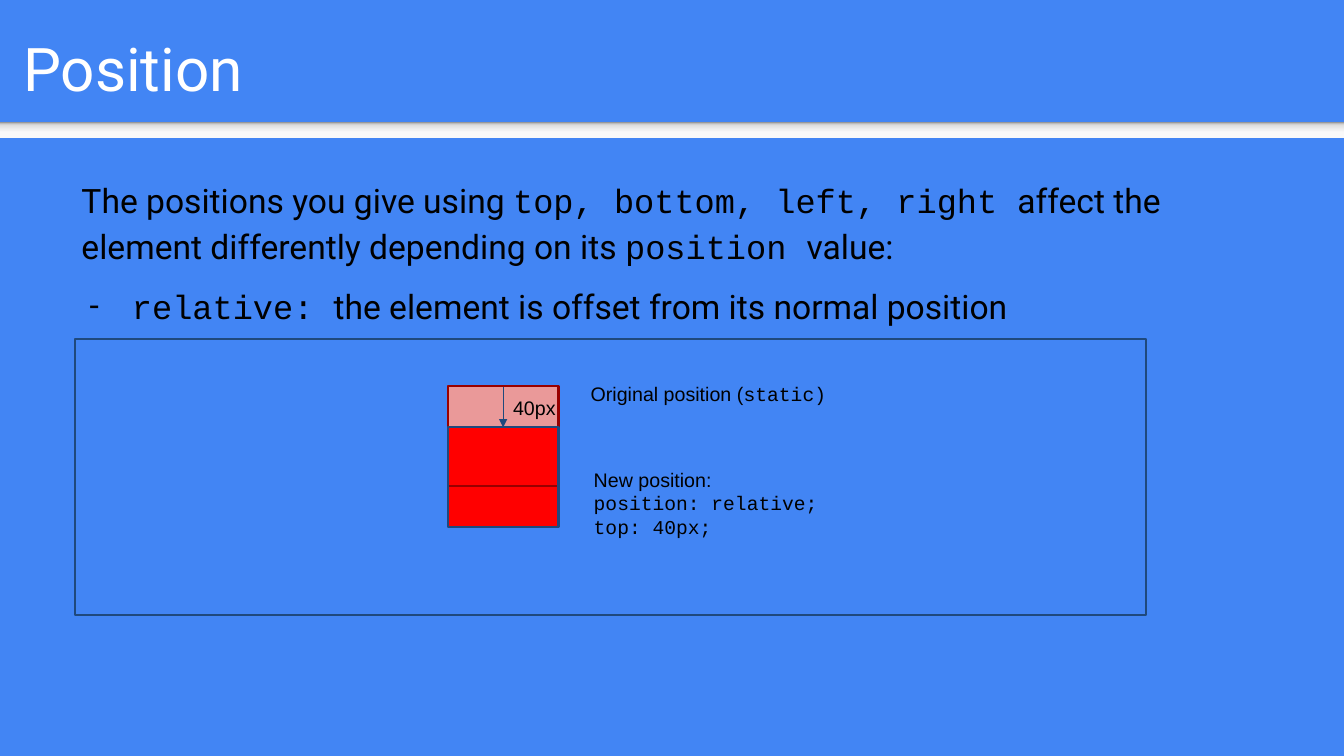
from dataclasses import dataclass

from lxml.etree import SubElement
from pptx import Presentation
from pptx.dml.color import RGBColor
from pptx.enum.shapes import MSO_CONNECTOR, MSO_SHAPE
from pptx.enum.text import MSO_ANCHOR
from pptx.oxml.ns import qn
from pptx.util import Inches, Pt


@dataclass(frozen=True)
class Theme:
    background: str = "4285F4"
    title: str = "FFFFFF"
    text: str = "000000"
    navy: str = "1F497D"
    maroon: str = "980000"
    pale_red: str = "EA9999"
    red: str = "FF0000"
    band_stops: tuple = ((0, "F9F9F9"), (36, "F9F9F9"), (80, "DEDEDE"), (100, "999999"))
    title_size: int = 43
    body_size: int = 24
    label_size: int = 14
    body_font: str = "Roboto"
    label_font: str = "Arial"
    code_font: str = "Courier New"


theme = Theme()

presentation = Presentation()
presentation.slide_width = Inches(13.33)
presentation.slide_height = Inches(7.5)
slide = presentation.slides.add_slide(presentation.slide_layouts[6])
slide.background.fill.solid()
slide.background.fill.fore_color.rgb = RGBColor.from_string(theme.background)


def add_rectangle(left, top, width, height, fill=None, line=None):
    shape = slide.shapes.add_shape(
        MSO_SHAPE.RECTANGLE, Inches(left), Inches(top), Inches(width), Inches(height)
    )
    shape.shadow.inherit = False
    if fill:
        shape.fill.solid()
        shape.fill.fore_color.rgb = RGBColor.from_string(fill)
    else:
        shape.fill.background()
    if line:
        shape.line.color.rgb = RGBColor.from_string(line)
        shape.line.width = Pt(1.5)
    else:
        shape.line.fill.background()
    return shape


def add_text(left, top, width, height, paragraphs, size, color=theme.text, inset=0.1):
    """Add a text box; each paragraph is a list of (text, font name) pairs."""
    box = slide.shapes.add_textbox(Inches(left), Inches(top), Inches(width), Inches(height))
    text_frame = box.text_frame
    text_frame.word_wrap = True
    text_frame.margin_left = text_frame.margin_right = Inches(inset)
    text_frame.margin_top = text_frame.margin_bottom = Inches(inset)
    for index, pieces in enumerate(paragraphs):
        paragraph = text_frame.add_paragraph() if index else text_frame.paragraphs[0]
        for text, font_name in pieces:
            run = paragraph.add_run()
            run.text = text
            run.font.name = font_name
            run.font.size = Pt(size)
            run.font.color.rgb = RGBColor.from_string(color)
    return text_frame


# Header
band = add_rectangle(0, 1.21, 13.33, 0.16)
band.fill.gradient()
band.fill.gradient_angle = 90
stop_list = band._element.spPr.find(qn("a:gradFill")).find(qn("a:gsLst"))
stop_list.clear()
for percent, color in theme.band_stops:
    stop = SubElement(stop_list, qn("a:gs"), pos=str(percent * 1000))
    SubElement(stop, qn("a:srgbClr"), val=color)

title = add_text(0.1, 0.11, 11.99, 1.12, [[("Position", theme.body_font)]],
                 theme.title_size, theme.title, inset=0.13)
title.vertical_anchor = MSO_ANCHOR.MIDDLE

# Explanation
body = add_text(0.71, 1.62, 11.92, 4.82, [
    [
        ("The positions you give using ", theme.body_font),
        ("top, bottom, left, right ", theme.code_font),
        ("affect the element differently depending on its ", theme.body_font),
        ("position ", theme.code_font),
        ("value:", theme.body_font),
    ],
    [
        ("relative: ", theme.code_font),
        ("the element is offset from its normal position", theme.body_font),
    ],
], theme.body_size)
for paragraph in body.paragraphs:
    paragraph.line_spacing = 1.15

bullet = body.paragraphs[1]
bullet.space_before = Pt(10)
properties = bullet._p.get_or_add_pPr()
properties.set("marL", str(Inches(0.5)))
properties.set("indent", str(Inches(-0.42)))
bullet_color = SubElement(properties, qn("a:buClr"))
SubElement(bullet_color, qn("a:srgbClr"), val=theme.text)
SubElement(properties, qn("a:buFont"), typeface=theme.body_font)
SubElement(properties, qn("a:buChar"), char="-")

# Diagram: the same square before and after the offset
square_left, square_width, square_height = 4.44, 1.1, 0.99
static_top, relative_top = 3.83, 4.24
add_rectangle(0.74, 3.36, 10.63, 2.74, line=theme.navy)
static_square, relative_square = [
    add_rectangle(square_left, top, square_width, square_height, fill=color)
    for top, color in ((static_top, theme.pale_red), (relative_top, theme.red))
]

add_text(5.76, 3.69, 2.81, 0.48, [
    [("Original position (", theme.label_font), ("static)", theme.code_font)],
], theme.label_size)
add_text(5.79, 4.54, 2.81, 0.92, [
    [("New position:", theme.label_font)],
    [("position: relative;", theme.code_font)],
    [("top: 40px;", theme.code_font)],
], theme.label_size)

center = square_left + square_width / 2
arrow = slide.shapes.add_connector(
    MSO_CONNECTOR.STRAIGHT,
    Inches(center), Inches(static_top), Inches(center), Inches(relative_top),
)
arrow.begin_connect(static_square, 0)
arrow.end_connect(relative_square, 0)
arrow.line.color.rgb = RGBColor.from_string(theme.navy)
arrow.line.width = Pt(0.75)
SubElement(arrow.line._get_or_add_ln(), qn("a:tailEnd"), type="triangle")
SubElement(arrow._element.spPr, qn("a:effectLst"))
add_text(center, static_top, 0.74, 0.3, [[("40px", theme.label_font)]], theme.label_size)

for top, color in ((static_top, theme.maroon), (relative_top, theme.navy)):
    add_rectangle(square_left, top, square_width, square_height, line=color)

presentation.save("out.pptx")
